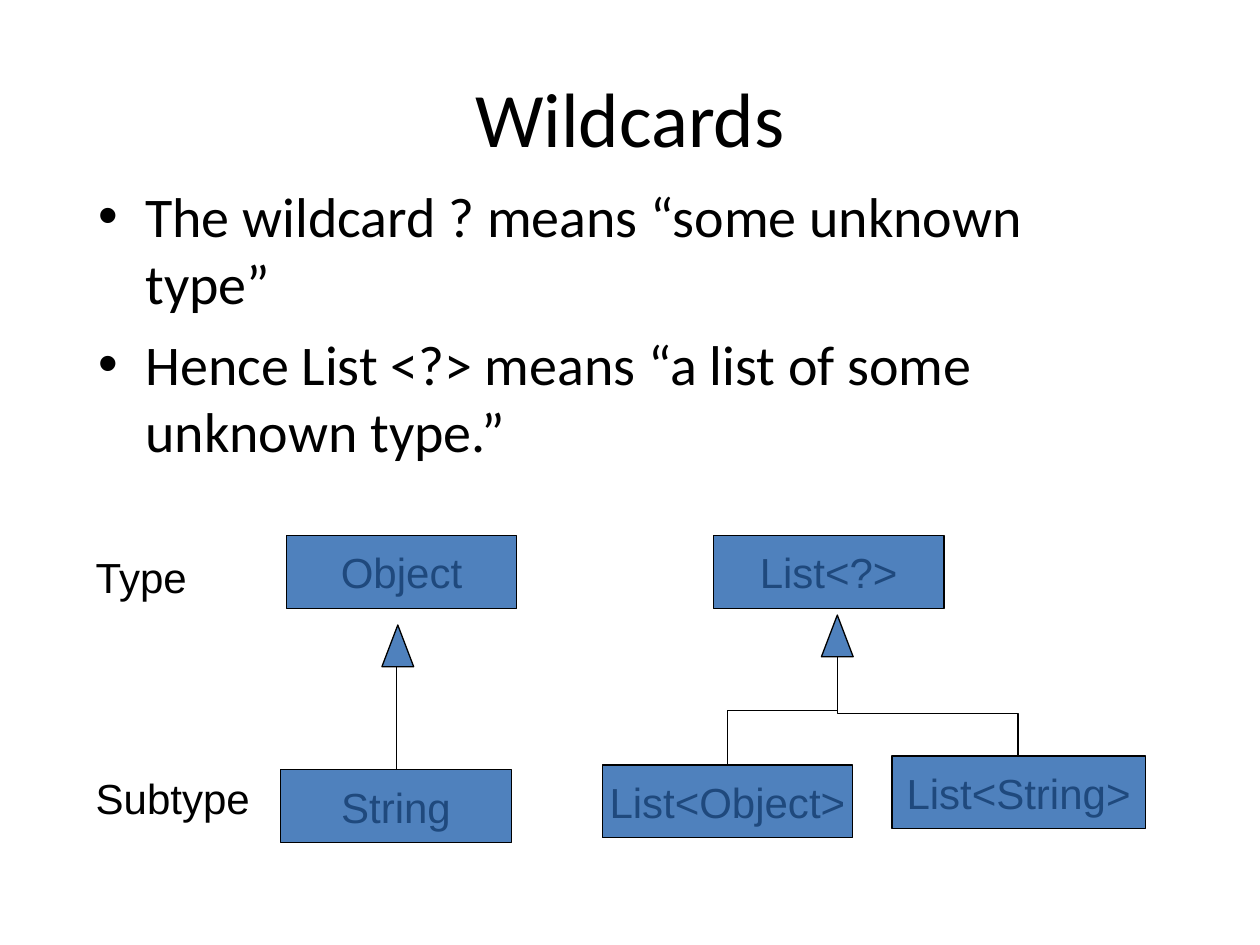
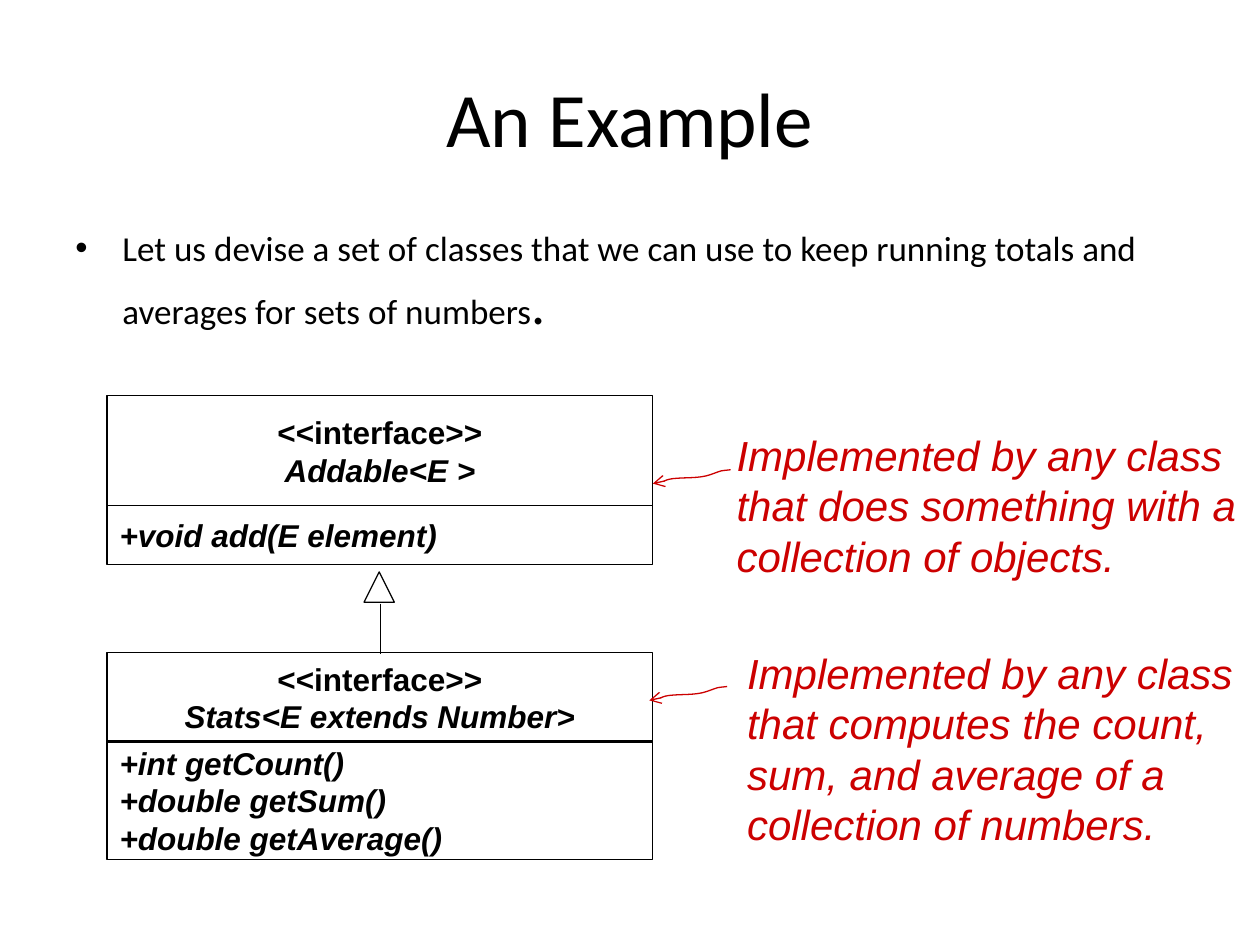
"""Build two slides on generics: wildcards and an interface example."""
from dataclasses import dataclass
from typing import NamedTuple, Optional

from lxml import etree
from pptx import Presentation
from pptx import util as u
from pptx.dml.color import RGBColor
from pptx.enum import shapes, text
from pptx.oxml import ns


@dataclass(frozen=True)
class Theme:
    """Colours, fonts and sizes shared by the slides."""
    ink: str = "000000"
    box_fill: str = "4F81BD"
    box_text: str = "1F497D"
    note: str = "CC0000"
    heading_font: str = "Calibri"
    diagram_font: str = "Arial"
    title_size: int = 44
    body_size: int = 32
    label_size: int = 24
    small_size: int = 20
    class_size: int = 18
    line_width: float = 0.75


THEME = Theme()


class Area(NamedTuple):
    """A rectangle in centimetres."""
    left: float
    top: float
    width: float
    height: float

    def lengths(self) -> list:
        """Give the four measures as lengths."""
        return [u.Cm(value) for value in self]


class Point(NamedTuple):
    """A position in centimetres."""
    x: float
    y: float


class Style(NamedTuple):
    """The look of a run."""
    size: int
    font: str = THEME.diagram_font
    color: str = THEME.ink
    bold: bool = False
    italic: bool = False


class Run(NamedTuple):
    """A piece of text in one style."""
    words: str
    style: Style


class Box(NamedTuple):
    """A rectangle holding paragraphs of runs."""
    area: Area
    paragraphs: list
    centered: bool = True
    fill: Optional[str] = None


class Note(NamedTuple):
    """A remark and the start of its arrow."""
    area: Area
    words: str
    arrow_start: Point


TITLE = Style(THEME.title_size, THEME.heading_font)
BODY = Style(THEME.body_size, THEME.heading_font)
SMALL_BODY = Style(THEME.small_size, THEME.heading_font)
LABEL = Style(THEME.label_size)
TYPE_NAME = Style(THEME.label_size, color=THEME.box_text)
REMARK = Style(THEME.label_size, color=THEME.note, italic=True)
STEREOTYPE = Style(THEME.class_size, bold=True)
MEMBER = Style(THEME.class_size, bold=True, italic=True)

TITLE_AREA = Area(1.27, 0.76, 22.86, 3.18)
ARROW_CURVE = [
    Point(-0.25, 0.03), Point(-0.13, 0), Point(-0.41, 0.1),
    Point(-0.64, 0.18), Point(-0.91, 0.15), Point(-1.17, 0.18),
    Point(-1.3, 0.2), Point(-1.42, 0.28), Point(-1.57, 0.28),
]


def write(frame, paragraphs: list, centered: bool = False,
          bulleted: bool = False, gap: float = 0) -> None:
    """Fill a text frame run by run."""
    for index, runs in enumerate(paragraphs):
        paragraph = frame.add_paragraph() if index else frame.paragraphs[0]
        paragraph.alignment = text.PP_ALIGN.CENTER if centered else text.PP_ALIGN.LEFT
        if index and gap:
            paragraph.space_before = u.Pt(gap)
        if bulleted:
            add_bullet(paragraph)
        for words, style in runs:
            run = paragraph.add_run()
            run.text = words
            font = run.font
            font.size, font.name = u.Pt(style.size), style.font
            font.bold, font.italic = style.bold, style.italic
            font.color.rgb = RGBColor.from_string(style.color)


def add_bullet(paragraph) -> None:
    """Give a paragraph a hanging round bullet."""
    properties = paragraph._p.get_or_add_pPr()
    indent = u.Cm(0.95)
    properties.set("marL", str(indent))
    properties.set("indent", str(-indent))
    etree.SubElement(properties, ns.qn("a:buFont")).set("typeface", THEME.diagram_font)
    etree.SubElement(properties, ns.qn("a:buChar")).set("char", "•")


def add_text(slide, area: Area, paragraphs: list, middle: bool = False, **layout) -> None:
    """Add a wrapping text box."""
    frame = slide.shapes.add_textbox(*area.lengths()).text_frame
    frame.word_wrap = True
    frame.vertical_anchor = text.MSO_ANCHOR.MIDDLE if middle else text.MSO_ANCHOR.TOP
    write(frame, paragraphs, **layout)


def add_outline(item, color: str = THEME.ink) -> None:
    """Draw a thin line of one colour."""
    item.line.color.rgb = RGBColor.from_string(color)
    item.line.width = u.Pt(THEME.line_width)


def add_figure(slide, kind, area: Area, fill: Optional[str] = None):
    """Add an outlined preset shape."""
    shape = slide.shapes.add_shape(kind, *area.lengths())
    shape.shadow.inherit = False
    if fill:
        shape.fill.solid()
        shape.fill.fore_color.rgb = RGBColor.from_string(fill)
    else:
        shape.fill.background()
    add_outline(shape)
    return shape


def add_box(slide, box: Box) -> None:
    """Add a rectangle with its text."""
    shape = add_figure(slide, shapes.MSO_SHAPE.RECTANGLE, box.area, box.fill)
    frame = shape.text_frame
    frame.word_wrap = False
    frame.vertical_anchor = text.MSO_ANCHOR.MIDDLE
    write(frame, box.paragraphs, box.centered)


def add_triangle(slide, area: Area, fill: Optional[str] = None) -> None:
    """Add the head of an inheritance arrow."""
    add_figure(slide, shapes.MSO_SHAPE.ISOSCELES_TRIANGLE, area, fill)


def add_line(slide, start: Point, end: Point,
             kind=shapes.MSO_CONNECTOR.STRAIGHT):
    """Add a connector without a shadow."""
    connector = slide.shapes.add_connector(
        kind, *(u.Cm(value) for value in (*start, *end)))
    add_outline(connector)
    etree.SubElement(connector._element.spPr, ns.qn("a:effectLst"))
    return connector


def add_branch(slide, start: Point, end: Point) -> None:
    """Add an elbow that leaves and arrives vertically."""
    center = Point((start.x + end.x) / 2, (start.y + end.y) / 2)
    rightward = end.x > start.x
    half_x = (end.y - start.y) / 2 * (-1 if rightward else 1)
    half_y = abs(end.x - start.x) / 2
    connector = add_line(slide, Point(center.x - half_x, center.y - half_y),
                         Point(center.x + half_x, center.y + half_y),
                         shapes.MSO_CONNECTOR.ELBOW)
    turn = 270 if rightward else 90
    connector._element.spPr.find(ns.qn("a:xfrm")).set("rot", str(turn * 60000))


def add_curved_arrow(slide, start: Point) -> None:
    """Add a wavy arrow made of cubic curves."""
    builder = slide.shapes.build_freeform(u.Cm(start.x), u.Cm(start.y))
    builder.add_line_segments(
        [(u.Cm(start.x + step.x), u.Cm(start.y + step.y)) for step in ARROW_CURVE],
        close=False)
    arrow = builder.convert_to_shape()
    arrow.shadow.inherit = False
    arrow.fill.background()
    add_outline(arrow, THEME.note)
    segments = list(arrow._element.iter(ns.qn("a:lnTo")))
    outline = segments[0].getparent()
    for first in range(0, len(segments), 3):
        curve = etree.SubElement(outline, ns.qn("a:cubicBezTo"))
        for segment in segments[first:first + 3]:
            curve.append(segment[0])
            outline.remove(segment)
    etree.SubElement(arrow.line._get_or_add_ln(), ns.qn("a:tailEnd")).set("type", "arrow")


def add_titled_slide(presentation, title: str):
    """Add a blank slide with the shared title."""
    slide = presentation.slides.add_slide(presentation.slide_layouts[6])
    add_text(slide, TITLE_AREA, [[Run(title, TITLE)]], middle=True, centered=True)
    return slide


def build_wildcards(presentation) -> None:
    """Build the slide on wildcard types."""
    slide = add_titled_slide(presentation, "Wildcards")
    bullets = ["The wildcard ? means “some unknown type”",
               "Hence List <?> means “a list of some unknown type.”"]
    add_text(slide, Area(1.73, 3.53, 21.59, 6.15),
             [[Run(words, BODY)] for words in bullets], bulleted=True, gap=8)
    types = {
        "List<?>": Area(14.38, 10.8, 4.65, 1.47),
        "List<Object>": Area(12.14, 15.42, 5.05, 1.47),
        "List<String>": Area(17.98, 15.24, 5.11, 1.47),
        "Object": Area(5.77, 10.8, 4.65, 1.47),
        "String": Area(5.66, 15.52, 4.65, 1.47),
    }
    for name, area in types.items():
        add_box(slide, Box(area, [[Run(name, TYPE_NAME)]], fill=THEME.box_fill))
    for left, top in (Point(16.56, 12.4), Point(7.7, 12.6)):
        add_triangle(slide, Area(left, top, 0.64, 0.84), THEME.box_fill)
    add_branch(slide, Point(16.89, 13.23), Point(14.66, 15.42))
    add_branch(slide, Point(16.89, 13.54), Point(20.52, 15.24))
    add_line(slide, Point(8, 13.44), Point(8, 15.52))
    for words, top in (("Type", 11), ("Subtype", 15.44)):
        add_text(slide, Area(1.68, top, 3.81, 1.27), [[Run(words, LABEL)]])


def build_example(presentation) -> None:
    """Build the slide on the interface example."""
    slide = add_titled_slide(presentation, "An Example")
    sentence = ("Let us devise a set of classes that we can use to keep running "
                "totals and averages for sets of numbers")
    add_text(slide, Area(1.27, 4.45, 22.86, 12.57),
             [[Run(sentence, SMALL_BODY), Run(".", BODY)]], bulleted=True)
    headers = (("Addable<E >", 7.98, 2.21), ("Stats<E extends Number>", 13.16, 1.8))
    for name, top, height in headers:
        add_box(slide, Box(Area(2.16, top, 11, height),
                           [[Run("<<interface>>", STEREOTYPE)], [Run(name, MEMBER)]]))
    members = (
        (["+void add(E element)"], 10.19, 1.19),
        (["+int getCount()", "+double getSum()", "+double getAverage()"], 14.94, 2.39),
    )
    for methods, top, height in members:
        add_box(slide, Box(Area(2.16, top, 11, height),
                           [[Run(method, MEMBER)] for method in methods], centered=False))
    add_triangle(slide, Area(7.34, 11.53, 0.61, 0.61))
    add_line(slide, Point(7.67, 12.17), Point(7.67, 13.18))
    notes = (
        Note(Area(14.6, 8.53, 11.1, 3.3),
             "Implemented by any class that does something with a collection of objects.",
             Point(14.73, 9.47)),
        Note(Area(14.81, 12.93, 11.1, 4.32),
             "Implemented by any class that computes the count, sum, and average "
             "of a collection of numbers.",
             Point(14.66, 13.84)),
    )
    for note in notes:
        add_text(slide, note.area, [[Run(note.words, REMARK)]])
        add_curved_arrow(slide, note.arrow_start)


def main() -> None:
    """Build and save the presentation."""
    presentation = Presentation()
    presentation.slide_width = u.Cm(25.4)
    presentation.slide_height = u.Cm(19.05)
    build_wildcards(presentation)
    build_example(presentation)
    presentation.save("out.pptx")


if __name__ == "__main__":
    main()
